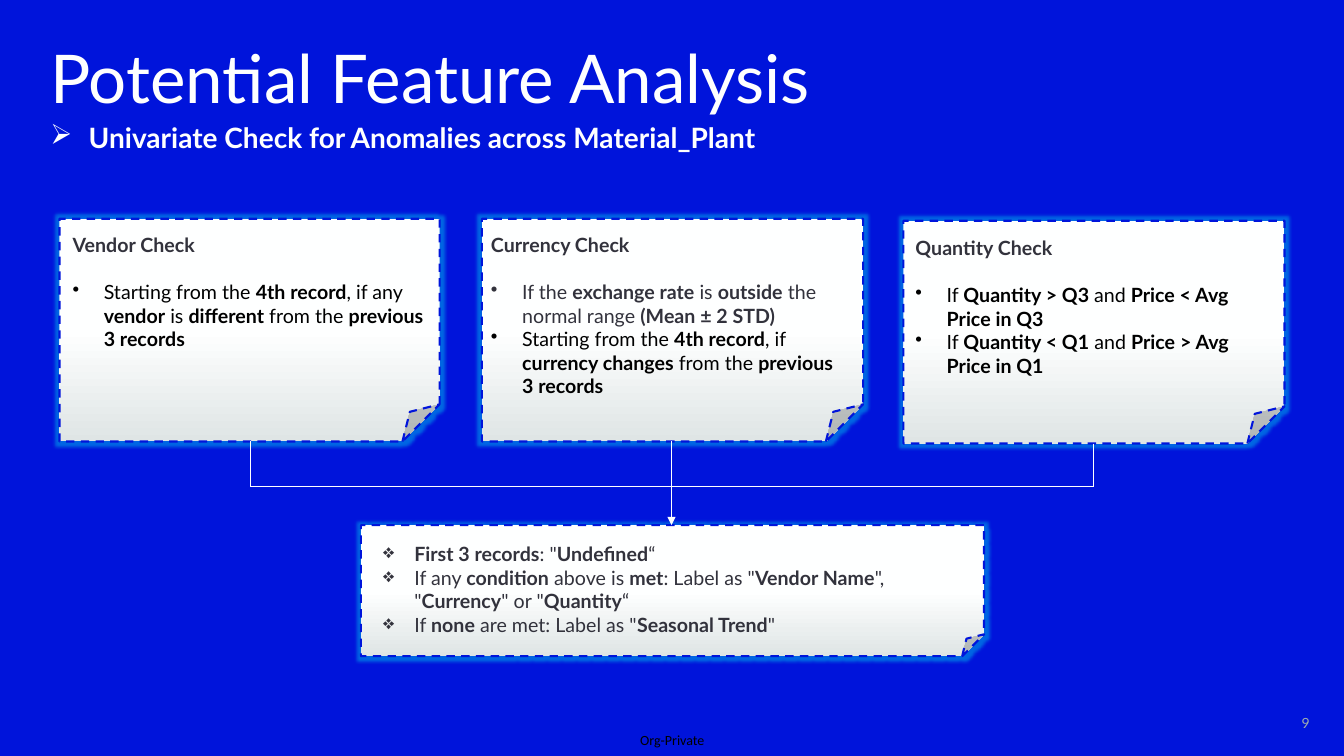
from dataclasses import dataclass

import pptx
import pptx.dml.color
import pptx.enum.dml
import pptx.enum.shapes
import pptx.enum.text
import pptx.oxml
import pptx.oxml.ns
import pptx.util

EMU_PER_PX = 9144
COLORS = {
    "blue": "0014DB", "white": "FEFFFF", "ink": "32323C", "black": "000000",
    "gray": "A0AEAE", "card_end": "DFE5E5", "glow": "007AE6",
}
Pt = pptx.util.Pt
Align = pptx.enum.text.PP_ALIGN
Anchor = pptx.enum.text.MSO_ANCHOR


@dataclass(frozen=True)
class Box:
    left: int
    top: int
    width: int
    height: int

    def emu(self) -> list[int]:
        return [px(value) for value in (self.left, self.top, self.width, self.height)]


@dataclass(frozen=True)
class Line:
    text: str
    color: str = "ink"
    bullet: str = ""
    before: int = 0
    size: int = 14
    font: str = "Lato"
    indent: int = 31
    align: Align = Align.LEFT


@dataclass(frozen=True)
class Card:
    outline: Box
    text_area: Box
    lines: tuple[Line, ...]


@dataclass(frozen=True)
class Link:
    start: tuple[int, int]
    end: tuple[int, int]
    arrow: bool = False


CARDS = (
    Card(Box(59, 217, 377, 221), Box(72, 231, 354, 122), (
        Line("**Vendor Check**"),
        Line("Starting from the **4th record**, if any **vendor** is **different** "
             "from the **previous 3 records**", "black", "•", 17),
    )),
    Card(Box(478, 217, 378, 221), Box(487, 231, 353, 195), (
        Line("**Currency Check**"),
        Line("If the **exchange rate** is **outside** the normal range "
             "**(Mean ± 2 STD)**", "ink", "•", 17),
        Line("Starting from the **4th record**, if **currency changes** from the "
             "**previous 3 records**", "black", "•"),
    )),
    Card(Box(896, 219, 378, 221), Box(908, 234, 353, 171), (
        Line("**Quantity Check**"),
        Line("If **Quantity > Q3 **and **Price < Avg Price in Q3**", "black", "•", 17),
        Line("If **Quantity < Q1** and **Price > Avg Price in Q1**", "black", "•"),
    )),
    Card(Box(358, 521, 618, 130), Box(380, 538, 566, 94), (
        Line('**First 3 records**: "**Undefined**“', bullet="❖"),
        Line('If any **condition** above is **met**: Label as "**Vendor Name**", '
             '"**Currency**" or "**Quantity**“', bullet="❖"),
        Line('If **none** are met: Label as "**Seasonal Trend**"', bullet="❖"),
    )),
)
LINKS = (
    Link((666, 438), (666, 521), arrow=True),
    Link((248, 438), (248, 483)),
    Link((248, 483), (1085, 483)),
    Link((1085, 440), (1085, 483)),
)


def px(value: int) -> int:
    return value * EMU_PER_PX


def rgb(name: str) -> pptx.dml.color.RGBColor:
    return pptx.dml.color.RGBColor.from_string(COLORS[name])


def element(xml: str):
    namespace = pptx.oxml.ns.nsdecls("a")
    return pptx.oxml.parse_xml(xml.replace("NS", namespace, 1))


def write_line(paragraph, line: Line) -> None:
    if line.bullet:
        properties = paragraph._p.get_or_add_pPr()
        properties.set("marL", str(px(line.indent)))
        properties.set("indent", str(-px(line.indent)))
        properties.append(element(f'<a:buChar NS char="{line.bullet}"/>'))
    paragraph.alignment = line.align
    if line.before:
        paragraph.space_before = Pt(line.before)
    for index, part in enumerate(line.text.split("**")):
        if part:
            run = paragraph.add_run()
            run.text = part
            run.font.name = line.font
            run.font.size = Pt(line.size)
            run.font.bold = index % 2 == 1
            run.font.color.rgb = rgb(line.color)


def prepare_frame(frame, anchor: Anchor, wrap: bool = True) -> None:
    frame.margin_left = frame.margin_top = frame.margin_right = frame.margin_bottom = 0
    frame.auto_size = pptx.enum.text.MSO_AUTO_SIZE.NONE
    frame.word_wrap = wrap
    frame.vertical_anchor = anchor


def add_text(slide, box: Box, lines: tuple[Line, ...],
             anchor: Anchor = Anchor.TOP, wrap: bool = True):
    frame = slide.shapes.add_textbox(*box.emu()).text_frame
    prepare_frame(frame, anchor, wrap)
    for index, line in enumerate(lines):
        write_line(frame.add_paragraph() if index else frame.paragraphs[0], line)
    return frame


def add_card(slide, card: Card) -> None:
    shape = slide.shapes.add_shape(
        pptx.enum.shapes.MSO_SHAPE.FOLDED_CORNER, *card.outline.emu())
    shape.shadow.inherit = False
    effects = shape._element.spPr.find(pptx.oxml.ns.qn("a:effectLst"))
    effects.append(element(
        f'<a:glow NS rad="{Pt(5)}"><a:srgbClr val="{COLORS["glow"]}">'
        '<a:alpha val="80000"/></a:srgbClr></a:glow>'))
    shape.fill.gradient()
    shape.fill.gradient_angle = 270
    stops = zip(shape.fill.gradient_stops, (0.5, 1), ("white", "card_end"))
    for stop, position, color in stops:
        stop.position = position
        stop.color.rgb = rgb(color)
    shape.line.color.rgb = rgb("blue")
    shape.line.width = Pt(1.5)
    shape.line.dash_style = pptx.enum.dml.MSO_LINE.DASH
    add_text(slide, card.text_area, card.lines)


def add_link(slide, link: Link) -> None:
    connector = slide.shapes.add_connector(
        pptx.enum.shapes.MSO_CONNECTOR.STRAIGHT,
        *[px(value) for value in link.start + link.end])
    connector.line.color.rgb = rgb("white")
    connector.line.width = Pt(0.75)
    if link.arrow:
        connector.line._get_or_add_ln().append(element('<a:tailEnd NS type="triangle"/>'))
    connector._element.spPr.append(element("<a:effectLst NS/>"))


def add_title(slide, box: Box, line: Line) -> None:
    title = slide.shapes.title
    title.left, title.top, title.width, title.height = box.emu()
    prepare_frame(title.text_frame, Anchor.TOP)
    paragraph = title.text_frame.paragraphs[0]
    write_line(paragraph, line)
    paragraph.line_spacing = 0.9


def main() -> None:
    presentation = pptx.Presentation()
    presentation.slide_width, presentation.slide_height = px(1333), px(750)
    slide = presentation.slides.add_slide(presentation.slide_layouts[5])
    slide.background.fill.solid()
    slide.background.fill.fore_color.rgb = rgb("blue")

    add_title(slide, Box(50, 45, 1123, 75),
              Line("Potential Feature Analysis", "white", size=48))
    subtitle = add_text(slide, Box(50, 122, 762, 62), (
        Line("**Univariate Check for Anomalies across Material_Plant**",
             "white", "➢", size=20, indent=38),))
    subtitle.paragraphs[0].line_spacing = 0.95
    for card in CARDS:
        add_card(slide, card)
    for link in LINKS:
        add_link(slide, link)
    add_text(slide, Box(635, 726, 67, 17),
             (Line("Org-Private", "black", size=10, font="Calibri"),), wrap=False)
    add_text(slide, Box(1224, 701, 75, 25),
             (Line("9", "gray", size=10, align=Align.RIGHT),), Anchor.BOTTOM)
    presentation.save("out.pptx")


if __name__ == "__main__":
    main()
